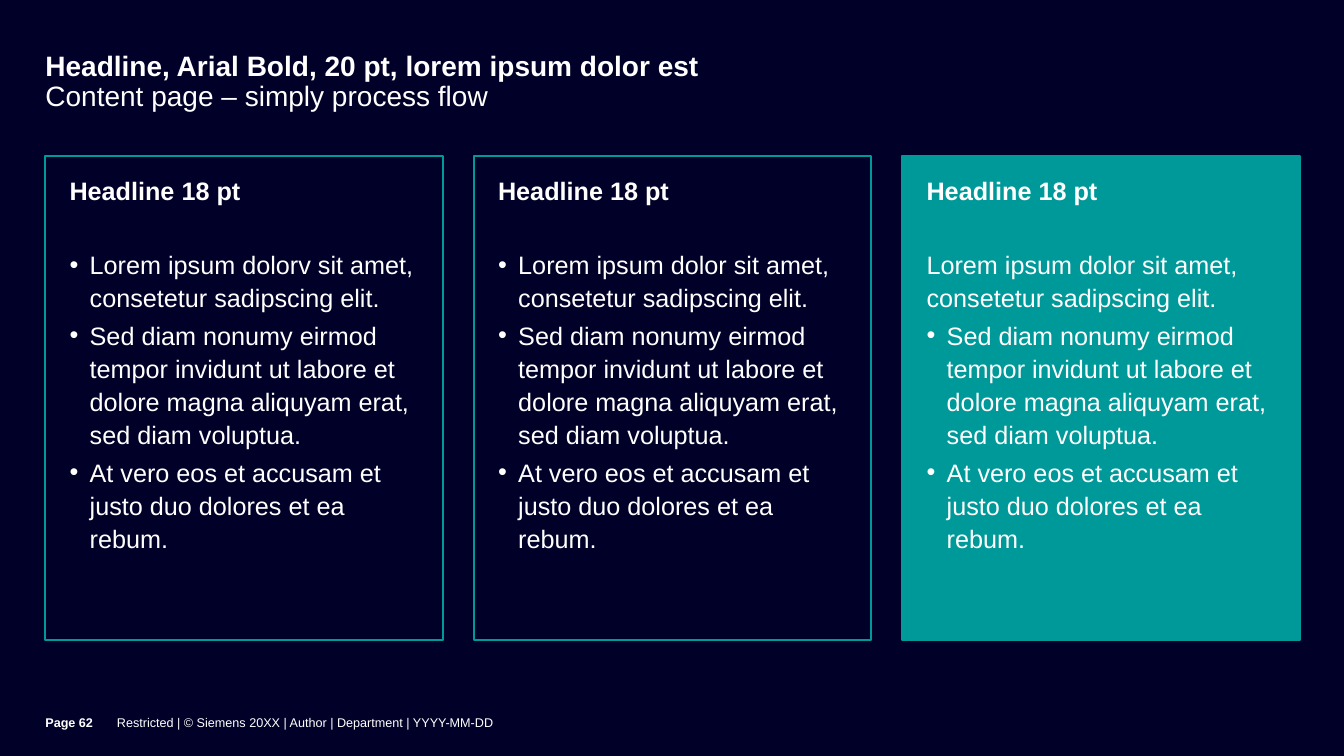
"""Build a dark content slide with three text panels, a title and a footer."""
import pptx
import pptx.dml.color
import pptx.enum.shapes
import pptx.enum.text
import pptx.oxml
import pptx.oxml.ns
import pptx.util

Inches = pptx.util.Inches
Pt = pptx.util.Pt
ANCHOR = pptx.enum.text.MSO_ANCHOR
HUES = {"navy": "000028", "teal": "009999", "white": "FFFFFF"}
BULLET = (
    f'<a:buClr {pptx.oxml.ns.nsdecls("a")}><a:srgbClr val="{HUES["white"]}"/></a:buClr>',
    f'<a:buFont {pptx.oxml.ns.nsdecls("a")} typeface="Arial"/>',
    f'<a:buChar {pptx.oxml.ns.nsdecls("a")} char="•"/>',
)


def color(name):
    return pptx.dml.color.RGBColor.from_string(HUES[name])


def write(text, para, size=18, bold=False, bullet=False, lead=None, after=None):
    if bullet:
        props = para._p.get_or_add_pPr()
        props.set("marL", str(Inches(0.2)))
        props.set("indent", str(-Inches(0.2)))
        for xml in BULLET:
            props.append(pptx.oxml.parse_xml(xml))
    if lead:
        para.line_spacing = lead
    if after is not None:
        para.space_after = Pt(after)
    para.alignment = pptx.enum.text.PP_ALIGN.LEFT
    run = para.add_run()
    run.text = text
    run.font.name = "Arial"
    run.font.size = Pt(size)
    run.font.bold = bold
    run.font.color.rgb = color("white")


def setup(shape, inset, anchor=ANCHOR.TOP):
    frame = shape.text_frame
    frame.word_wrap = True
    frame.vertical_anchor = anchor
    (frame.margin_left, frame.margin_top,
     frame.margin_right, frame.margin_bottom) = map(Inches, inset)
    return frame


deck = pptx.Presentation()
deck.slide_width = Inches(13.33)
deck.slide_height = Inches(7.5)
slide = deck.slides.add_slide(deck.slide_layouts[6])
slide.background.fill.solid()
slide.background.fill.fore_color.rgb = color("navy")
shapes = slide.shapes

title = shapes.add_textbox(Inches(0.45), Inches(0.52), Inches(10.79), Inches(0.63))
para = setup(title, (0, 0, 0.35, 0.02)).paragraphs[0]
write("Headline, Arial Bold, 20 pt, lorem ipsum dolor est", para, size=20, bold=True, lead=0.9)
para.add_line_break()
write("Content page – simply process flow", para, size=20, lead=0.9)

panels = [
    ("Lorem ipsum dolorv sit amet, consetetur sadipscing elit.", True, False),
    ("Lorem ipsum dolor sit amet, consetetur sadipscing elit.", True, False),
    ("Lorem ipsum dolor sit amet, consetetur sadipscing elit.", False, True),
]
points = [
    "Sed diam nonumy eirmod tempor invidunt ut labore et dolore magna aliquyam erat, "
    "sed diam voluptua.",
    "At vero eos et accusam et justo duo dolores et ea rebum.",
]
for col, (intro, dotted, filled) in enumerate(panels):
    panel = shapes.add_shape(
        pptx.enum.shapes.MSO_SHAPE.RECTANGLE,
        Inches(0.45 + 4.25 * col), Inches(1.55), Inches(3.94), Inches(4.8))
    panel.shadow.inherit = False
    panel.line.color.rgb = color("teal")
    panel.line.width = Pt(1.5)
    if filled:
        panel.fill.solid()
        panel.fill.fore_color.rgb = color("teal")
    else:
        panel.fill.background()
    frame = setup(panel, (0.24, 0.16, 0.24, 0.16))
    write("Headline 18 pt", frame.paragraphs[0], bold=True, lead=1.1, after=29)
    write(intro, frame.add_paragraph(), bullet=dotted, lead=1.1, after=3)
    for point in points:
        write(point, frame.add_paragraph(), bullet=True, lead=1.1, after=3)

footer = [
    ("Restricted | © Siemens 20XX | Author | Department | YYYY-MM-DD", 1.16, 10.08, False),
    ("Page 62", 0.45, 0.71, True),
]
for text, left, width, bold in footer:
    box = shapes.add_textbox(Inches(left), Inches(6.9), Inches(width), Inches(0.6))
    frame = setup(box, (0, 0, 0, 0.07), ANCHOR.MIDDLE)
    write(text, frame.paragraphs[0], size=9, bold=bold)

deck.save("out.pptx")
